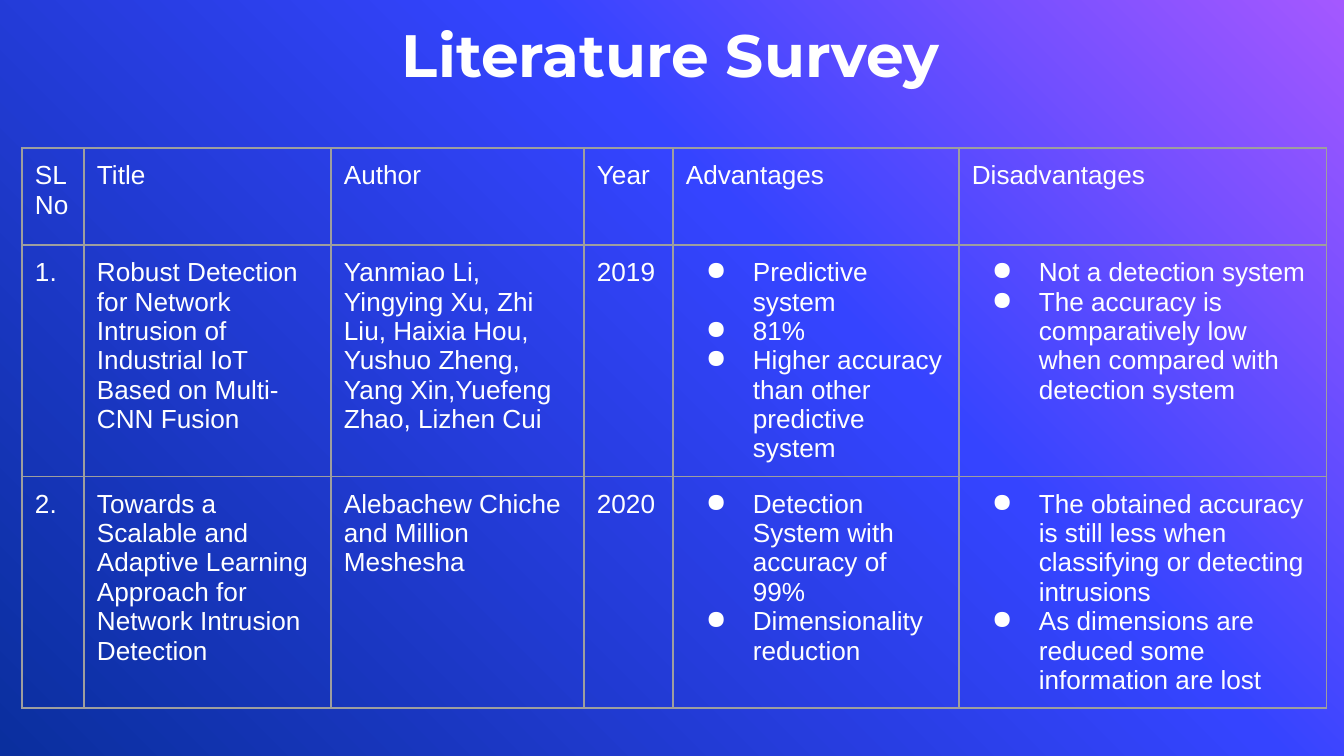
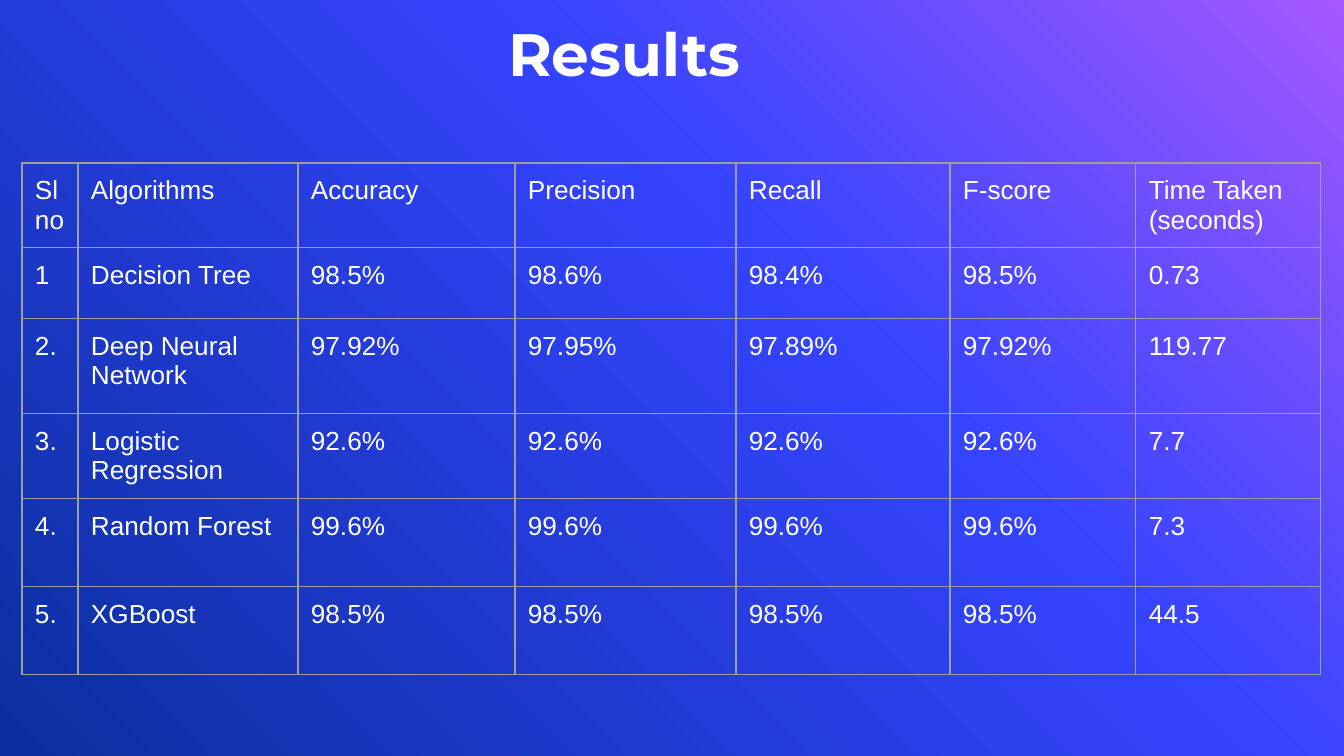
from copy import deepcopy

from pptx import Presentation
from pptx import util as u
from pptx.dml.color import RGBColor
from pptx.enum import text
from pptx.oxml.ns import qn
from lxml import etree

EMU_PER_PX = 914400 / 134.4
WHITE = "FFFFFF"
GRID = "9E9E9E"
BACKDROP = [(0, "A458FF"), (0.39, "3544FF"), (1, "0A2F9E")]
TITLE_FONT, BODY_FONT = "Montserrat", "Arial"
TABLE_LEFT = 22
CELL_INSET = 13
BULLET_INDENT, BULLET_HANG = 67, 47

SURVEY_COLUMNS = [62, 247, 253, 89, 286, 368]
SURVEY_ROWS = [97, 114, 114]
SURVEY = [
    ["SL\nNo", "Title", "Author", "Year", "Advantages", "Disadvantages"],
    ["1.",
     "Robust Detection for Network Intrusion of Industrial IoT Based on Multi-CNN Fusion",
     "Yanmiao Li, Yingying Xu, Zhi Liu, Haixia Hou, Yushuo Zheng, "
     "Yang Xin,Yuefeng Zhao, Lizhen Cui",
     "2019",
     ["Predictive system", "81%", "Higher accuracy than other predictive system"],
     ["Not a detection system",
      "The accuracy is comparatively low when compared with detection system"]],
    ["2.",
     "Towards a Scalable and Adaptive Learning Approach for Network Intrusion Detection",
     "Alebachew Chiche and Million Meshesha",
     "2020",
     ["Detection System with accuracy of 99%", "Dimensionality reduction"],
     ["The obtained accuracy is still less when classifying or detecting intrusions",
      "As dimensions are reduced some information are lost"]],
]

RESULT_COLUMNS = [56, 220, 217, 221, 214, 186, 185]
RESULT_ROWS = [71, 71, 95, 74, 88, 88]
RESULTS = [
    ["Sl\nno", "Algorithms", "Accuracy", "Precision", "Recall", "F-score",
     "Time Taken\n(seconds)"],
    ["1", "Decision Tree", "98.5%", "98.6%", "98.4%", "98.5%", "0.73"],
    ["2.", "Deep Neural Network", "97.92%", "97.95%", "97.89%", "97.92%", "119.77"],
    ["3.", "Logistic Regression", "92.6%", "92.6%", "92.6%", "92.6%", "7.7"],
    ["4.", "Random Forest", "99.6%", "99.6%", "99.6%", "99.6%", "7.3"],
    ["5.", "XGBoost", "98.5%", "98.5%", "98.5%", "98.5%", "44.5"],
]


def px(length):
    return u.Emu(round(length * EMU_PER_PX))


def color(hex_code):
    return RGBColor.from_string(hex_code)


def style_font(font, name, size, bold=False):
    font.name = name
    font.size = u.Pt(size)
    font.bold = bold
    font.color.rgb = color(WHITE)


def paint_backdrop(master):
    """Give every slide the diagonal gradient by way of the master."""
    fill = master.background.fill
    fill.gradient()
    fill.gradient_angle = 225  # counter-clockwise: top right to bottom left
    stop_list = master.element.find(".//" + qn("a:gsLst"))
    stop_list.append(deepcopy(stop_list[-1]))
    for stop, (position, hex_code) in zip(fill.gradient_stops, BACKDROP):
        stop.position = position
        stop.color.rgb = color(hex_code)


def add_titled_slide(deck, heading, left, top, width, height):
    slide = deck.slides.add_slide(deck.slide_layouts[5])
    title = slide.shapes.title
    title.left, title.top, title.width, title.height = map(px, (left, top, width, height))
    frame = title.text_frame
    frame.text = heading
    frame.word_wrap = True
    frame.auto_size = text.MSO_AUTO_SIZE.NONE
    frame.vertical_anchor = text.MSO_ANCHOR.BOTTOM
    frame.margin_left = frame.margin_right = frame.margin_top = frame.margin_bottom = 0
    frame.paragraphs[0].alignment = text.PP_ALIGN.LEFT
    style_font(frame.paragraphs[0].runs[0].font, TITLE_FONT, 32, bold=True)
    return slide


def add_bullet(paragraph):
    properties = paragraph._p.get_or_add_pPr()
    properties.set("marL", str(px(BULLET_INDENT)))
    properties.set("indent", str(-px(BULLET_HANG)))
    bullet_color = etree.SubElement(properties, qn("a:buClr"))
    etree.SubElement(bullet_color, qn("a:srgbClr"), val=WHITE)
    etree.SubElement(properties, qn("a:buChar"), char="●")


def outline_cell(cell):
    properties = cell._tc.get_or_add_tcPr()
    for side in ("a:lnL", "a:lnR", "a:lnT", "a:lnB"):
        line = etree.SubElement(properties, qn(side), w=str(u.Pt(0.75)))
        line_fill = etree.SubElement(line, qn("a:solidFill"))
        etree.SubElement(line_fill, qn("a:srgbClr"), val=GRID)


def fill_cell(cell, content):
    """Write content in the cell; a list becomes bullets."""
    bulleted = isinstance(content, list)
    cell.text_frame.text = "\n".join(content) if bulleted else content
    for paragraph in cell.text_frame.paragraphs:
        if bulleted:
            add_bullet(paragraph)
        style_font(paragraph.runs[0].font, BODY_FONT, 14)
    cell.margin_left = cell.margin_right = px(CELL_INSET)
    cell.margin_top = cell.margin_bottom = px(CELL_INSET)
    outline_cell(cell)
    cell.fill.background()


def add_grid(slide, top, columns, rows, entries):
    table = slide.shapes.add_table(
        len(rows), len(columns), px(TABLE_LEFT), px(top),
        px(sum(columns)), px(sum(rows))).table
    table.first_row = table.horz_banding = False
    for column, width in zip(table.columns, columns):
        column.width = px(width)
    for row, height, contents in zip(table.rows, rows, entries):
        row.height = px(height)
        for cell, content in zip(row.cells, contents):
            fill_cell(cell, content)


def main():
    deck = Presentation()
    deck.slide_width, deck.slide_height = px(1344), px(756)
    paint_backdrop(deck.slide_master)

    survey = add_titled_slide(deck, "Literature Survey", 402, 12, 546, 78)
    add_grid(survey, 148, SURVEY_COLUMNS, SURVEY_ROWS, SURVEY)

    results = add_titled_slide(deck, "Results", 508, 16, 235, 73)
    add_grid(results, 163, RESULT_COLUMNS, RESULT_ROWS, RESULTS)

    deck.save("out.pptx")


if __name__ == "__main__":
    main()
